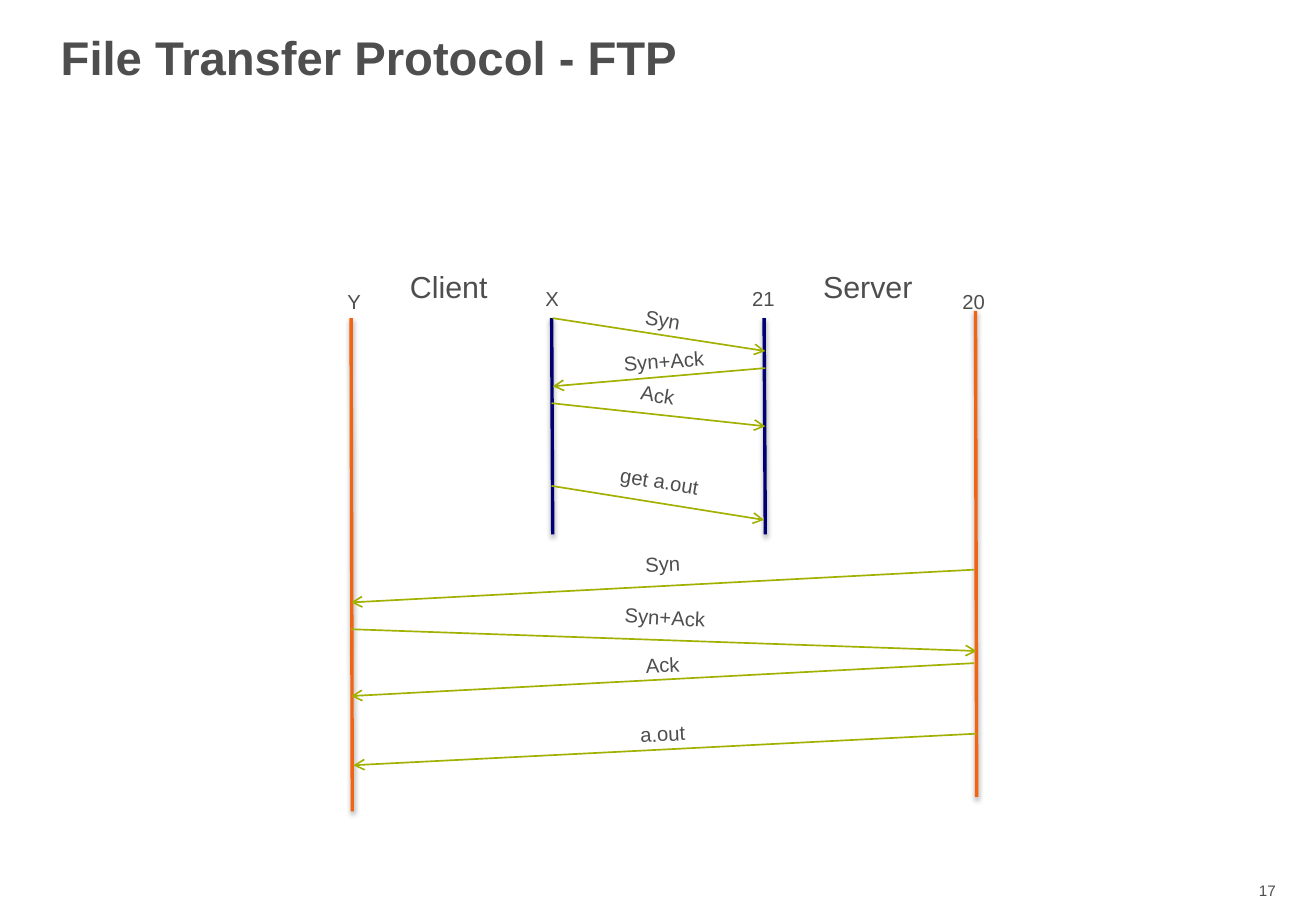
import pptx
import pptx.dml.color
import pptx.enum.shapes
import pptx.enum.text
import pptx.oxml
import pptx.oxml.ns
import pptx.util
from lxml import etree

Pt = pptx.util.Pt
RGBColor = pptx.dml.color.RGBColor
ALIGN = pptx.enum.text.PP_ALIGN
MIDDLE = pptx.enum.text.MSO_ANCHOR.MIDDLE
qn = pptx.oxml.ns.qn

GREY = RGBColor(0x4E, 0x4E, 0x4E)
NAVY = RGBColor(0x00, 0x00, 0x73)
ORANGE = RGBColor(0xF0, 0x64, 0x14)
GREEN = RGBColor(0xA2, 0xB0, 0x00)

LABEL_X = 392.8

# port, colour, top point, bottom point, centre of the port label
LIFELINES = [
    ("X", NAVY, (327, 188.6), (327.6, 316.8), (327.2, 177.1)),
    ("21", NAVY, (452.9, 188.6), (453.6, 316.8), (452.5, 177.1)),
    ("Y", ORANGE, (208.1, 188.6), (208.8, 481), (209.9, 178.6)),
    ("20", ORANGE, (578.2, 184.3), (578.9, 472.3), (577.1, 178.6)),
]

# text, start, end, centre of the label, rotation of the label
MESSAGES = [
    ("Syn", (327.6, 188.6), (453.6, 208.1), (LABEL_X, 189.4), 9.4),
    ("Syn+Ack", (453.6, 218.2), (327.6, 229), (393.5, 213.8), -4.1),
    ("Ack", (326.9, 239), (453.6, 252.7), (389.9, 234), 9.4),
    ("get a.out", (326.9, 288), (452.9, 308.2), (391, 285.1), 9.4),
    ("Syn", (577.4, 337.7), (208.1, 357.1), (LABEL_X, 334.1), -2.7),
    ("Syn+Ack", (208.1, 373), (578.9, 385.9), (394.2, 365.8), 3),
    ("Ack", (577.4, 393.1), (208.1, 412.6), (LABEL_X, 393.8), -2.7),
    ("a.out", (578.9, 434.9), (209.5, 453.6), (LABEL_X, 434.9), -2.7),
]


def write_text(frame, text, size=12, bold=False, align=ALIGN.CENTER, spacing=None):
    frame.word_wrap = True
    para = frame.paragraphs[0]
    para.alignment = align
    para.line_spacing = spacing
    span = para.add_run()
    span.text = text
    span.font.name = "Arial"
    span.font.size = Pt(size)
    span.font.bold = bold
    span.font.color.rgb = GREY


def add_label(page, text, centre, width=91.4, height=21.6, rotation=0, **text_format):
    """Add a text box around its centre point."""
    x, y = centre
    box = page.shapes.add_textbox(
        Pt(x - width / 2), Pt(y - height / 2), Pt(width), Pt(height))
    box.rotation = rotation
    write_text(box.text_frame, text, **text_format)


def add_line(page, start, end, color, width):
    """Add a straight line; return it with its empty effect list."""
    line = page.shapes.add_connector(
        pptx.enum.shapes.MSO_CONNECTOR.STRAIGHT,
        *(Pt(length) for length in (*start, *end)))
    line.line.color.rgb = color
    line.line.width = Pt(width)
    effects = etree.SubElement(line._element.spPr, qn("a:effectLst"))
    return line, effects


def add_lifeline(page, top, bottom, color):
    _, effects = add_line(page, top, bottom, color, 2)
    shadow = etree.SubElement(
        effects, qn("a:outerShdw"), blurRad=str(Pt(3.1)), dist=str(Pt(1.6)),
        dir="5400000", rotWithShape="0")
    black = etree.SubElement(shadow, qn("a:srgbClr"), val="000000")
    etree.SubElement(black, qn("a:alpha"), val="38000")


def add_arrow(page, start, end):
    arrow, _ = add_line(page, start, end, GREEN, 1)
    etree.SubElement(arrow.line._get_or_add_ln(), qn("a:tailEnd"), type="arrow")


def set_title(page, text):
    title = page.shapes.title
    title.left, title.top = Pt(28.8), Pt(0)
    title.width, title.height = Pt(584.6), Pt(72)
    title.text_frame.vertical_anchor = MIDDLE
    write_text(title.text_frame, text, size=28, bold=True,
               align=ALIGN.LEFT, spacing=0.85)


def main():
    deck = pptx.Presentation()
    deck.slide_width, deck.slide_height = Pt(780), Pt(540)
    page = deck.slides.add_slide(deck.slide_layouts.get_by_name("Title Only"))

    set_title(page, "File Transfer Protocol - FTP")
    for port, color, top, bottom, centre in LIFELINES:
        add_lifeline(page, top, bottom, color)
        add_label(page, port, centre)
    for text, start, end, centre, rotation in MESSAGES:
        add_arrow(page, start, end)
        add_label(page, text, centre, rotation=rotation)
    for side, x in (("Client", 266), ("Server", 514.4)):
        add_label(page, side, (x, 169.9), height=28.8, size=18)
    add_label(page, "17", (737.3, 528.1), width=51.8, height=18,
              size=9, align=ALIGN.RIGHT)

    deck.save("out.pptx")


if __name__ == "__main__":
    main()
